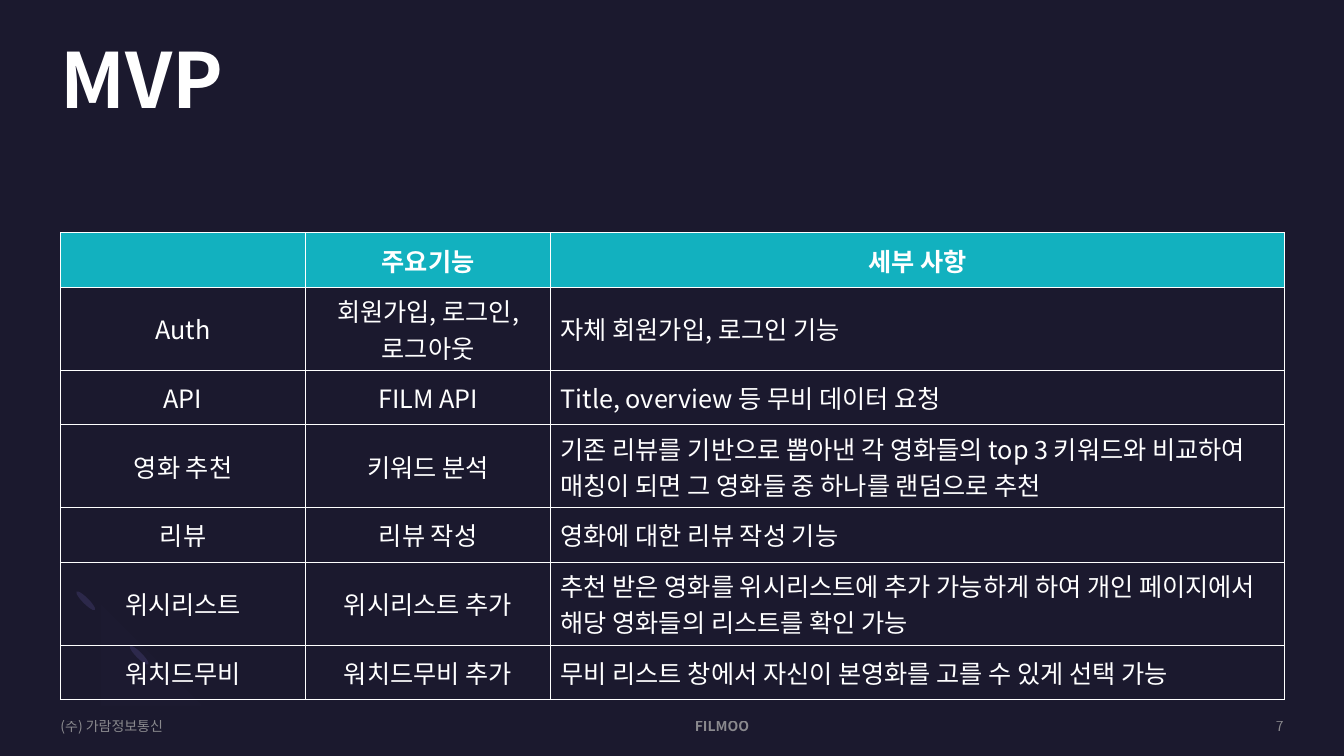
from lxml import etree
from pptx import Presentation
from pptx import util as u
from pptx.dml.color import RGBColor
from pptx.enum import shapes, text
from pptx.oxml import ns

FONT = "Noto Sans CJK KR"
COLORS = {
    "background": "1B192E",
    "header": "12B1BF",
    "white": "FFFFFF",
    "footer": "A6A6A6",
    "ellipse": "2C284A",
    "arc": "7771B2",
}
LEFT, CENTER, RIGHT = text.PP_ALIGN.LEFT, text.PP_ALIGN.CENTER, text.PP_ALIGN.RIGHT
MIDDLE, BOTTOM = text.MSO_ANCHOR.MIDDLE, text.MSO_ANCHOR.BOTTOM

COLUMN_WIDTHS = [2.43, 2.43, 7.28]
ROW_HEIGHT = 0.54
ROWS = [
    ("", "주요기능", "세부 사항"),
    ("Auth", "회원가입, 로그인, 로그아웃", "자체 회원가입, 로그인 기능"),
    ("API", "FILM API", "Title, overview 등 무비 데이터 요청"),
    ("영화 추천", "키워드 분석",
     "기존 리뷰를 기반으로 뽑아낸 각 영화들의 top 3 키워드와 비교하여 매칭이 되면 그 영화들 중 하나를 랜덤으로 추천"),
    ("리뷰", "리뷰 작성", "영화에 대한 리뷰 작성 기능"),
    ("위시리스트", "위시리스트 추가",
     "추천 받은 영화를 위시리스트에 추가 가능하게 하여 개인 페이지에서 해당 영화들의 리스트를 확인 가능"),
    ("워치드무비", "워치드무비 추가", "무비 리스트 창에서 자신이 본영화를 고를 수 있게 선택 가능"),
]
ARC_OUTER = [[(0.76, 6.59), (0.56, 6.39), (0.58, 6.05), (0.81, 5.82)]]
ARC_INNER = [
    [(0.99, 6.0), (0.87, 6.11), (0.86, 6.29), (0.96, 6.38)],
    [(0.96, 6.38), (1.06, 6.48), (1.23, 6.47), (1.35, 6.36)],
    [(1.52, 6.54), (1.3, 6.76), (0.95, 6.79), (0.76, 6.59)],
]


def rgb(name):
    """Return the named colour."""
    return RGBColor.from_string(COLORS[name])


def set_alpha(element, percent):
    """Make the first solid fill below an element translucent."""
    color = element.find(".//" + ns.qn("a:srgbClr"))
    etree.SubElement(color, ns.qn("a:alpha"), val=str(percent * 1000))


def write(frame, content, size=18, color="white", bold=False, align=LEFT,
          spacing=None, alpha=None):
    """Write one formatted paragraph into a text frame."""
    paragraph = frame.paragraphs[0]
    paragraph.alignment = align
    if spacing:
        paragraph.line_spacing = spacing
    run = paragraph.add_run()
    run.text = content
    font = run.font
    font.size, font.bold, font.name = u.Pt(size), bold, FONT
    font.color.rgb = rgb(color)
    properties = run._r.get_or_add_rPr()
    etree.SubElement(properties, ns.qn("a:ea"), typeface=FONT)
    if alpha:
        set_alpha(properties, alpha)


def add_text(slide, box, content, anchor=MIDDLE, **style):
    """Add a text box without margins."""
    frame = slide.shapes.add_textbox(*map(u.Inches, box)).text_frame
    frame.word_wrap = True
    frame.vertical_anchor = anchor
    frame.margin_left = frame.margin_right = frame.margin_top = frame.margin_bottom = 0
    write(frame, content, **style)


def paint(shape, color):
    """Give a shape a plain fill without line or shadow."""
    shape.shadow.inherit = False
    shape.fill.solid()
    shape.fill.fore_color.rgb = rgb(color)
    shape.line.fill.background()


def add_ellipse(slide, left, top):
    """Add one slanted ornament ellipse."""
    shape = slide.shapes.add_shape(
        shapes.MSO_SHAPE.OVAL, *map(u.Inches, (left, top, 0.06, 0.26)))
    shape.rotation = 135
    paint(shape, "ellipse")


def curve_points(curve, steps=12):
    """Sample a cubic curve."""
    for step in range(steps + 1):
        t = step / steps
        weights = ((1 - t) ** 3, 3 * t * (1 - t) ** 2, 3 * t * t * (1 - t), t ** 3)
        yield tuple(sum(w * point[axis] for w, point in zip(weights, curve))
                    for axis in (0, 1))


def add_arc(slide):
    """Add the faint ornament arc."""
    points = [p for curve in ARC_OUTER + ARC_INNER for p in curve_points(curve)]
    builder = slide.shapes.build_freeform(*points[0], scale=u.Inches(1))
    builder.add_line_segments(points[1:], close=True)
    shape = builder.convert_to_shape()
    paint(shape, "arc")
    set_alpha(shape._element.spPr, 2)


def set_borders(cell):
    """Draw thin white lines around a cell."""
    properties = cell._tc.get_or_add_tcPr()
    for side in ("lnL", "lnR", "lnT", "lnB"):
        line = etree.SubElement(properties, ns.qn("a:" + side), w=str(u.Pt(0.75)))
        fill = etree.SubElement(line, ns.qn("a:solidFill"))
        etree.SubElement(fill, ns.qn("a:srgbClr"), val=COLORS["white"])


def add_feature_table(slide):
    """Add the table of features."""
    table = slide.shapes.add_table(
        len(ROWS), len(COLUMN_WIDTHS), u.Inches(0.6), u.Inches(2.31),
        u.Inches(sum(COLUMN_WIDTHS)), u.Inches(ROW_HEIGHT * len(ROWS))).table
    for column, width in zip(table.columns, COLUMN_WIDTHS):
        column.width = u.Inches(width)
    for row, values in enumerate(ROWS):
        table.rows[row].height = u.Inches(ROW_HEIGHT)
        for column, value in enumerate(values):
            cell = table.cell(row, column)
            header = row == 0
            cell.vertical_anchor = MIDDLE
            set_borders(cell)
            if header:
                cell.fill.solid()
                cell.fill.fore_color.rgb = rgb("header")
            else:
                cell.fill.background()
            if value:
                write(cell.text_frame, value, bold=header,
                      align=CENTER if header or column < 2 else LEFT)


def add_footer(slide):
    """Add company, product and page number."""
    for left, width, content, align, bold in (
            (10.88, 1.85, "7", RIGHT, False),
            (0.6, 2.88, "(주) 가람정보통신", LEFT, False),
            (3.67, 6.98, "FILMOO", CENTER, True)):
        add_text(slide, (left, 7.12, width, 0.17), content, size=10,
                 color="footer", bold=bold, align=align, alpha=80)


def main():
    """Build and save the slide."""
    presentation = Presentation()
    presentation.slide_width = u.Inches(13.33)
    presentation.slide_height = u.Inches(7.5)
    slide = presentation.slides.add_slide(presentation.slide_layouts[6])
    slide.background.fill.solid()
    slide.background.fill.fore_color.rgb = rgb("background")
    add_ellipse(slide, 1.35, 6.37)
    add_ellipse(slide, 0.82, 5.83)
    add_arc(slide)
    add_feature_table(slide)
    add_footer(slide)
    add_text(slide, (0.6, 0.22, 1.81, 1.02), "MVP", anchor=BOTTOM, size=54.4,
             bold=True, spacing=0.9)
    presentation.save("out.pptx")


if __name__ == "__main__":
    main()
